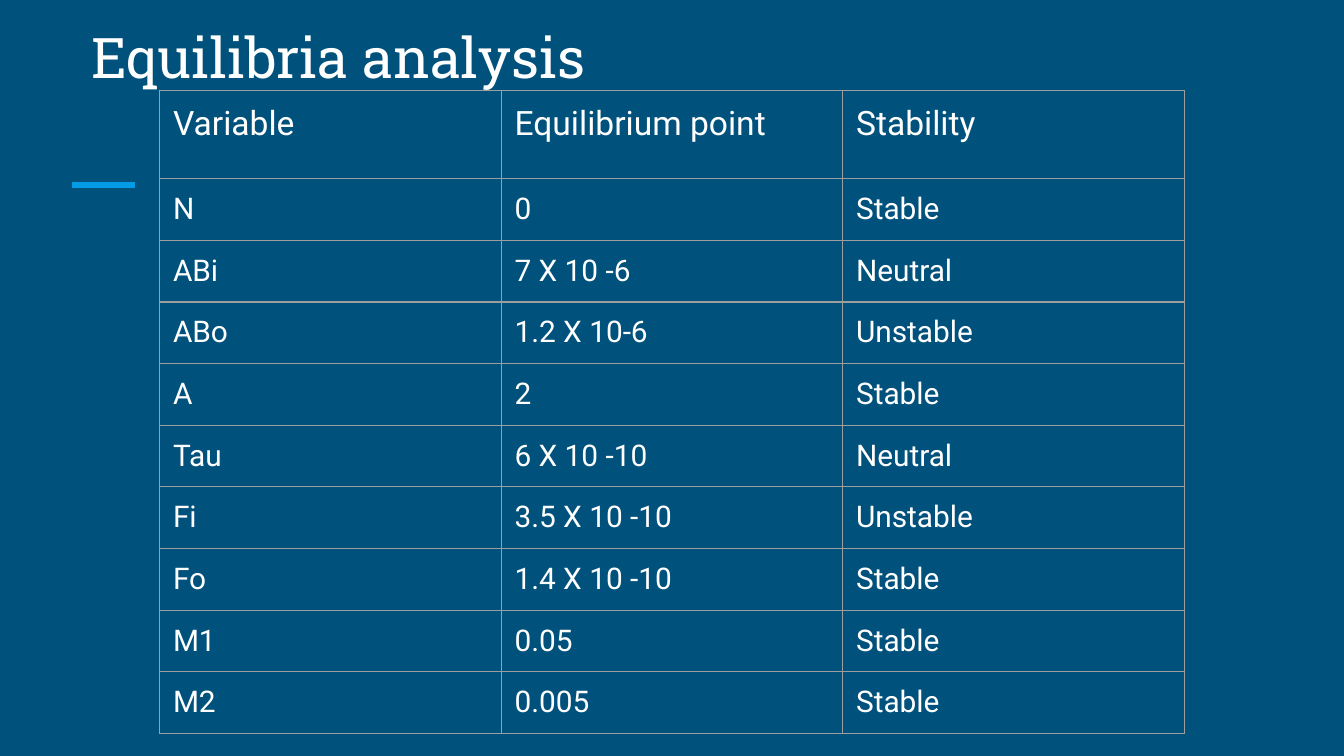
from dataclasses import dataclass

from lxml.etree import SubElement
from pptx import Presentation
from pptx.dml.color import RGBColor as Color
from pptx.enum.shapes import MSO_CONNECTOR as Connector
from pptx.enum.text import MSO_ANCHOR as Anchor, MSO_AUTO_SIZE as AutoSize, PP_ALIGN as Align
from pptx.oxml.ns import qn
from pptx.util import Pt

TITLE = "Equilibria analysis"
HEADER = ("Variable", "Equilibrium point", "Stability")
EQUILIBRIA = [
    ("N", "0", "Stable"),
    ("ABi", "7 X 10 -6", "Neutral"),
    ("ABo", "1.2 X 10-6", "Unstable"),
    ("A", "2", "Stable"),
    ("Tau", "6 X 10 -10", "Neutral"),
    ("Fi", "3.5 X 10 -10", "Unstable"),
    ("Fo", "1.4 X 10 -10", "Stable"),
    ("M1", "0.05", "Stable"),
    ("M2", "0.005", "Stable"),
]


@dataclass(frozen=True)
class Theme:
    background: str = "00517C"
    accent: str = "039BE5"
    text: str = "FFFFFF"
    border: str = "9E9E9E"
    title_font: str = "Roboto Slab"
    body_font: str = "Roboto"
    title_size: float = 30
    header_size: float = 18
    body_size: float = 16
    accent_width: float = 3
    border_width: float = 0.75
    inset: float = 7.2


THEME = Theme()
PAGE_SIZE = (720, 405)
TITLE_BOX = (41.8, 18, 648, 37.4)
ACCENT_LINE = (38.6, 99, 72.2, 99)
TABLE_LEFT, TABLE_TOP = 85.5, 48.5
COLUMN_WIDTH = 183
HEADER_HEIGHT, ROW_HEIGHT = 47.2, 32.4


def points(values):
    return [Pt(value) for value in values]


def add_text(frame, text, font, size):
    frame.margin_left = frame.margin_right = Pt(THEME.inset)
    frame.margin_top = frame.margin_bottom = Pt(THEME.inset)
    para = frame.paragraphs[0]
    para.alignment = Align.LEFT
    span = para.add_run()
    span.text = text
    span.font.name = font
    span.font.size = Pt(size)
    span.font.color.rgb = Color.from_string(THEME.text)


def add_borders(cell):
    properties = cell._tc.get_or_add_tcPr()
    for side in ("lnL", "lnR", "lnT", "lnB"):
        line = SubElement(properties, qn(f"a:{side}"), w=str(Pt(THEME.border_width)))
        fill = SubElement(line, qn("a:solidFill"))
        SubElement(fill, qn("a:srgbClr"), val=THEME.border)


def add_accent(page):
    line = page.shapes.add_connector(Connector.STRAIGHT, *points(ACCENT_LINE))
    line.line.color.rgb = Color.from_string(THEME.accent)
    line.line.width = Pt(THEME.accent_width)
    SubElement(line._element.spPr, qn("a:effectLst"))


def add_title(page):
    title = page.shapes.title
    title.left, title.top, title.width, title.height = points(TITLE_BOX)
    frame = title.text_frame
    frame.word_wrap = True
    frame.auto_size = AutoSize.NONE
    frame.vertical_anchor = Anchor.BOTTOM
    add_text(frame, TITLE, THEME.title_font, THEME.title_size)


def add_equilibria_table(page):
    rows = [HEADER, *EQUILIBRIA]
    heights = [HEADER_HEIGHT] + [ROW_HEIGHT] * len(EQUILIBRIA)
    table = page.shapes.add_table(
        len(rows), len(HEADER),
        *points((TABLE_LEFT, TABLE_TOP, COLUMN_WIDTH * len(HEADER), sum(heights))),
    ).table
    table.first_row = table.horz_banding = False
    for column in table.columns:
        column.width = Pt(COLUMN_WIDTH)
    for row, height, texts in zip(table.rows, heights, rows):
        row.height = Pt(height)
        size = THEME.header_size if texts is HEADER else THEME.body_size
        for cell, text in zip(row.cells, texts):
            add_borders(cell)
            cell.fill.background()
            cell.vertical_anchor = Anchor.TOP
            add_text(cell.text_frame, text, THEME.body_font, size)
            cell.margin_left = cell.margin_right = Pt(THEME.inset)
            cell.margin_top = cell.margin_bottom = Pt(THEME.inset)


def main():
    deck = Presentation()
    deck.slide_width, deck.slide_height = points(PAGE_SIZE)
    page = deck.slides.add_slide(deck.slide_layouts.get_by_name("Title Only"))
    page.background.fill.solid()
    page.background.fill.fore_color.rgb = Color.from_string(THEME.background)
    add_accent(page)
    add_title(page)
    add_equilibria_table(page)
    deck.save("out.pptx")


if __name__ == "__main__":
    main()
